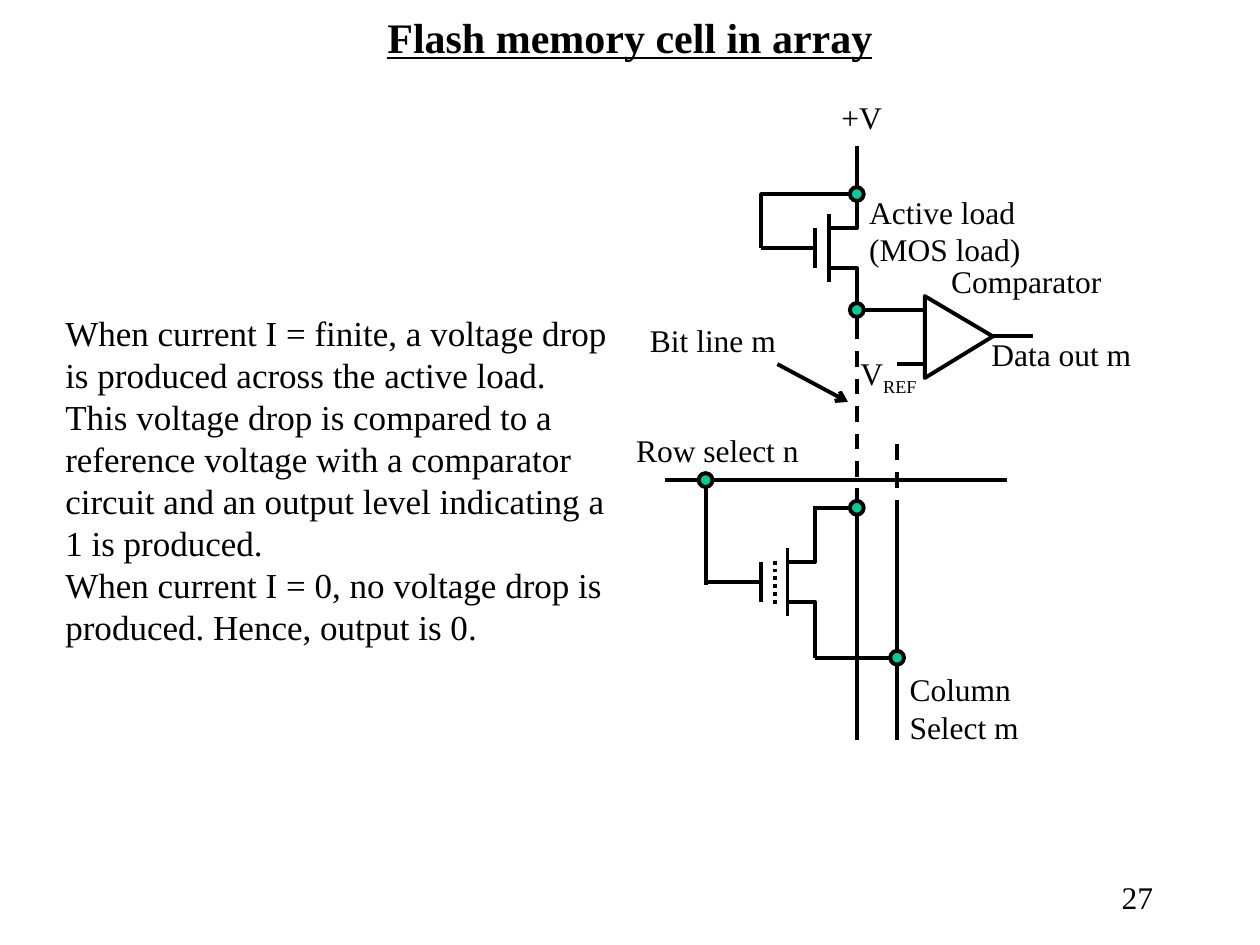
from dataclasses import dataclass

from lxml.etree import SubElement
from pptx import Presentation
from pptx.dml.color import RGBColor
from pptx.enum.dml import MSO_LINE
from pptx.enum.shapes import MSO_CONNECTOR, MSO_SHAPE
from pptx.enum.text import MSO_ANCHOR, PP_ALIGN
from pptx.oxml.ns import qn
from pptx.util import Inches, Pt

COLORS = {"ink": "000000", "node": "00CC99"}
FONT = "Times New Roman"
STROKE = Pt(2.25)
NODE_SIZE = 0.11

BIT_X, COLUMN_X, ROW_X = 6.8, 7.12, 5.6
LOAD_Y, CELL_Y, ROW_Y = 1.97, 4.62, 3.81
SUPPLY_Y, SENSE_Y, DRAIN_Y, SOURCE_Y = 1.54, 2.46, 4.03, 5.22
COMPARATOR_X, OUTPUT_X, OUTPUT_Y = 7.34, 7.88, 2.67

Point = tuple[float, float]


@dataclass
class Label:
    lines: list[str]
    left: float
    top: float
    width: float
    height: float = 0.4
    size: int = 18
    wrap: bool = False
    align: PP_ALIGN = PP_ALIGN.LEFT
    heading: bool = False
    subscript: str = ""


@dataclass
class Wire:
    start: Point
    end: Point
    dash: MSO_LINE | None = None
    arrow: bool = False


@dataclass
class Transistor:
    gate_x: float
    channel_x: float
    terminal_x: float
    middle_y: float


LABELS = [
    Label(["27"], 7.17, 6.92, 2.08, 0.5, wrap=True, align=PP_ALIGN.RIGHT),
    Label(["Flash memory cell in array"], 0.75, 0.04, 8.5, 0.5, size=24,
          wrap=True, align=PP_ALIGN.CENTER, heading=True),
    Label(["+V"], 6.58, 0.73, 0.52),
    Label(["Active load", "(MOS load)"], 6.8, 1.48, 1.42, 0.7),
    Label(["Bit line m"], 5.06, 2.5, 1.22),
    Label(["Column", "Select m"], 7.12, 5.27, 1.42, 0.7, wrap=True),
    Label(["Row select n"], 4.95, 3.37, 1.57, wrap=True),
    Label(["V"], 6.73, 2.76, 0.89, 0.44, wrap=True, subscript="REF"),
    Label(["Comparator"], 7.45, 2.03, 1.45),
    Label(["Data out m"], 7.77, 2.61, 1.35),
    Label([
        "When current I = finite, a voltage drop is produced across the active load.",
        "This voltage drop is compared to a reference voltage with a comparator "
        "circuit and an output level indicating a 1 is produced.",
        "When current I = 0, no voltage drop is produced. Hence, output is 0.",
    ], 0.42, 2.42, 4.5, 2.77, size=20, wrap=True),
]

ACTIVE_LOAD = Transistor(6.47, 6.58, BIT_X, LOAD_Y)
MEMORY_CELL = Transistor(6.04, 6.25, 6.47, CELL_Y)

WIRES = [
    Wire((6.47, LOAD_Y), (6.04, LOAD_Y)),
    Wire((BIT_X, 1.38), (BIT_X, 1.16)),
    Wire((6.15, 4.45), (6.15, 4.81), MSO_LINE.ROUND_DOT),  # floating gate
    Wire((6.04, CELL_Y), (ROW_X, CELL_Y)),
    Wire((6.47, DRAIN_Y), (BIT_X, DRAIN_Y)),
    Wire((6.47, SOURCE_Y), (COLUMN_X, SOURCE_Y)),
    Wire((BIT_X, 2.57), (BIT_X, 3.97), MSO_LINE.DASH),
    Wire((BIT_X, 3.92), (BIT_X, 5.87)),
    Wire((COLUMN_X, 3.87), (COLUMN_X, 3.45), MSO_LINE.DASH),
    Wire((COLUMN_X, 3.97), (COLUMN_X, 5.87)),
    Wire((5.28, ROW_Y), (7.99, ROW_Y)),
    Wire((ROW_X, ROW_Y), (ROW_X, 4.64)),
    Wire((6.17, 2.89), (6.73, 3.19), arrow=True),
    Wire((BIT_X, SENSE_Y), (COMPARATOR_X, SENSE_Y)),
    Wire((COMPARATOR_X, 2.89), (COLUMN_X, 2.89)),
    Wire((OUTPUT_X, OUTPUT_Y), (8.2, OUTPUT_Y)),
]

NODES = [(BIT_X, SUPPLY_Y), (BIT_X, SENSE_Y), (BIT_X, DRAIN_Y),
         (ROW_X, ROW_Y), (COLUMN_X, SOURCE_Y)]


def color(name: str) -> RGBColor:
    return RGBColor.from_string(COLORS[name])


def add_label(slide, label: Label) -> None:
    box = slide.shapes.add_textbox(Inches(label.left), Inches(label.top),
                                   Inches(label.width), Inches(label.height))
    frame = box.text_frame
    frame.word_wrap = label.wrap
    if label.heading:
        frame.vertical_anchor = MSO_ANCHOR.MIDDLE
    frame.text = "\n".join(label.lines)
    if label.subscript:
        run = frame.paragraphs[-1].add_run()
        run.text = label.subscript
        run.font._element.set("baseline", "-25000")
    for paragraph in frame.paragraphs:
        paragraph.alignment = label.align
        font = paragraph.font
        font.name, font.size = FONT, Pt(label.size)
        font.color.rgb = color("ink")
        font.bold = font.underline = label.heading


def set_stroke(line) -> None:
    line.color.rgb = color("ink")
    line.width = STROKE


def add_wire(slide, wire: Wire) -> None:
    connector = slide.shapes.add_connector(
        MSO_CONNECTOR.STRAIGHT, *(Inches(v) for v in wire.start + wire.end))
    set_stroke(connector.line)
    if wire.dash:
        connector.line.dash_style = wire.dash
    if wire.arrow:
        SubElement(connector.line._get_or_add_ln(), qn("a:tailEnd"), type="arrow")
    SubElement(connector._element.spPr, qn("a:effectLst"))


def add_outline(slide, points: list[Point], close: bool = False) -> None:
    start, *rest = [(Inches(x), Inches(y)) for x, y in points]
    builder = slide.shapes.build_freeform(*start, scale=1.0)
    builder.add_line_segments(rest, close=close)
    outline = builder.convert_to_shape()
    outline.shadow.inherit = False
    outline.fill.background()
    set_stroke(outline.line)


def add_transistor(slide, part: Transistor) -> None:
    """Draw the gate and channel bars and the two mirrored terminals."""
    y = part.middle_y
    for x, half in ((part.gate_x, 0.16), (part.channel_x, 0.27)):
        add_wire(slide, Wire((x, y - half), (x, y + half)))
    for side in (-1, 1):
        near, far = y + side * 0.16, y + side * 0.6
        add_outline(slide, [(part.channel_x, near), (part.terminal_x, near),
                            (part.terminal_x, far)])


def add_node(slide, center: Point) -> None:
    left, top = (Inches(v - NODE_SIZE / 2) for v in center)
    node = slide.shapes.add_shape(MSO_SHAPE.OVAL, left, top,
                                  Inches(NODE_SIZE), Inches(NODE_SIZE))
    node.shadow.inherit = False
    node.fill.solid()
    node.fill.fore_color.rgb = color("node")
    set_stroke(node.line)


def main() -> None:
    deck = Presentation()
    deck.slide_width, deck.slide_height = Inches(10), Inches(7.5)
    slide = deck.slides.add_slide(deck.slide_layouts[6])
    for part in (ACTIVE_LOAD, MEMORY_CELL):
        add_transistor(slide, part)
    add_outline(slide, [(6.04, LOAD_Y), (6.04, SUPPLY_Y), (BIT_X, SUPPLY_Y)])
    add_outline(slide, [(COMPARATOR_X, 2.35), (COMPARATOR_X, 3),
                        (OUTPUT_X, OUTPUT_Y)], close=True)
    for wire in WIRES:
        add_wire(slide, wire)
    for center in NODES:
        add_node(slide, center)
    for label in LABELS:
        add_label(slide, label)
    deck.save("out.pptx")


if __name__ == "__main__":
    main()
